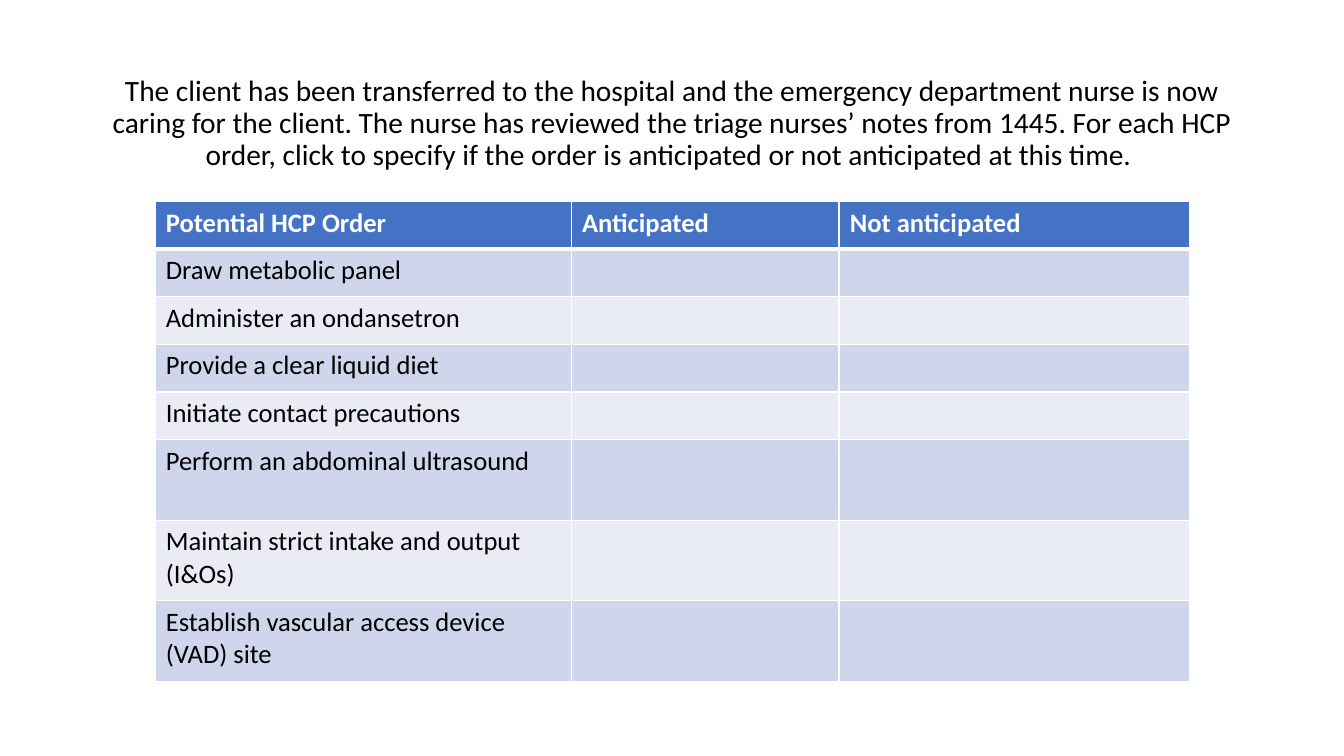
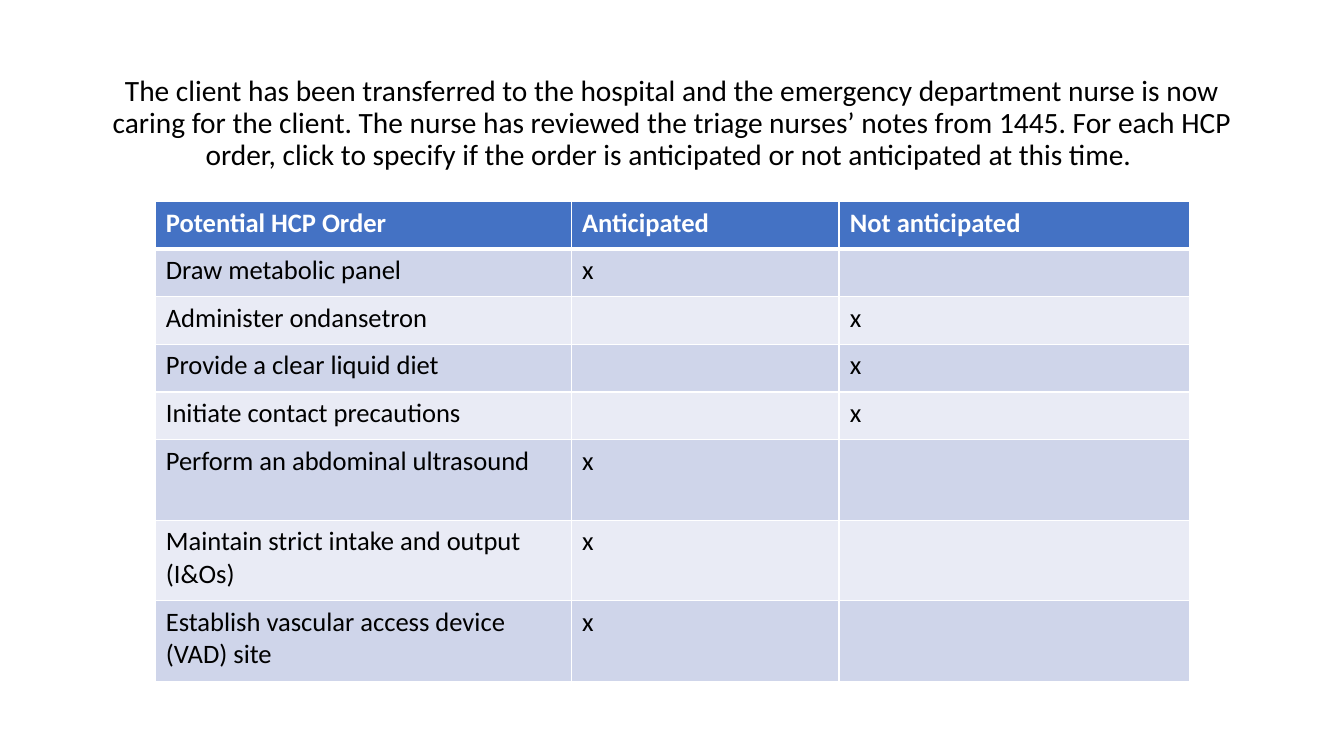
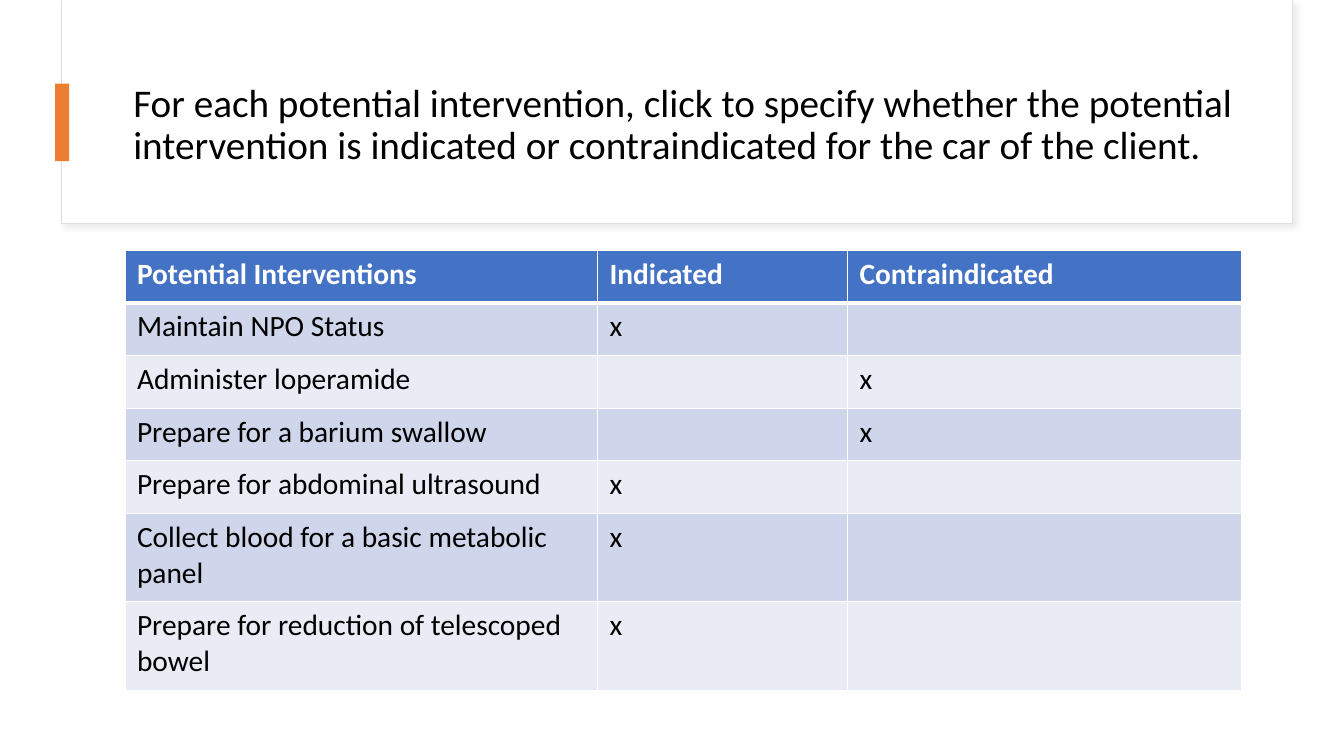
import dataclasses

import lxml.etree
import pptx
import pptx.dml.color
import pptx.enum.shapes
import pptx.enum.text
import pptx.oxml.ns
import pptx.util

Pt = pptx.util.Pt
Align = pptx.enum.text.PP_ALIGN
qn = pptx.oxml.ns.qn


@dataclasses.dataclass(frozen=True)
class Theme:
    font: str = "Calibri"
    ink: str = "000000"
    white: str = "FFFFFF"
    head: str = "4472C4"
    bands: tuple = ("CFD5EA", "E9EBF5")
    accent: str = "ED7D31"
    edge: str = "DEDEDE"
    shade: str = "D9D9D9"
    prompt: int = 21
    lead: int = 28
    small: int = 19
    large: int = 21


def color(code):
    return pptx.dml.color.RGBColor.from_string(code)


def write(frame, words, *, font, size, ink, bold=False, align=Align.LEFT, space=1.0):
    para = frame.paragraphs[0]
    para.alignment = align
    para.line_spacing = space
    run = para.add_run()
    run.text = words
    run.font.name = font
    run.font.size = Pt(size)
    run.font.bold = bold
    run.font.color.rgb = color(ink)


def node(parent, tag, **attrs):
    """Append a DrawingML element, with its attributes as text."""
    return lxml.etree.SubElement(
        parent, qn(tag), {key: str(val) for key, val in attrs.items()})


def border(cell, sides, ink):
    """Draw cell borders; sides maps L, R, T and B, in that order, to widths."""
    props = cell._tc.get_or_add_tcPr()
    for side, width in sides.items():
        line = node(props, f"a:ln{side}", w=Pt(width))
        node(node(line, "a:solidFill"), "a:srgbClr", val=ink)


class Deck:
    def __init__(self, theme):
        self.theme = theme
        self.show = pptx.Presentation()
        self.show.slide_width, self.show.slide_height = Pt(960), Pt(540)
        self.slide = None

    def page(self):
        self.slide = self.show.slides.add_slide(self.show.slide_layouts[5])

    def title(self, words, box, size, align):
        """Place the title in front of everything drawn so far."""
        shape = self.slide.shapes.title
        shape.left, shape.top, shape.width, shape.height = map(Pt, box)
        shape.element.getparent().append(shape.element)
        frame = shape.text_frame
        frame.word_wrap = True
        frame.auto_size = pptx.enum.text.MSO_AUTO_SIZE.NONE
        frame.vertical_anchor = pptx.enum.text.MSO_ANCHOR.MIDDLE
        write(frame, words, font=self.theme.font, size=size,
              ink=self.theme.ink, align=align, space=0.9)

    def rect(self, box, fill, edge=None, shade=None):
        kind = pptx.enum.shapes.MSO_SHAPE.RECTANGLE
        shape = self.slide.shapes.add_shape(kind, *map(Pt, box))
        shape.fill.solid()
        shape.fill.fore_color.rgb = color(fill)
        if edge:
            shape.line.color.rgb = color(edge)
            shape.line.width = Pt(0.75)
        else:
            shape.line.fill.background()
        shape.shadow.inherit = False
        if shade:
            glow = node(shape.element.spPr.find(qn("a:effectLst")), "a:outerShdw",
                        blurRad=Pt(4), dist=Pt(3), dir=45 * 60000)
            node(node(glow, "a:srgbClr", val=shade), "a:alpha", val=50000)

    def table(self, spot, heads, rows, widths, heights, size, inset):
        """Draw rows of (label, column of the x); column 0 means no x."""
        theme = self.theme
        grid = [heads] + [
            [label] + ["x" if col == mark else "" for col in range(1, len(heads))]
            for label, mark in rows]
        frame = self.slide.shapes.add_table(
            len(grid), len(heads), *map(Pt, (*spot, sum(widths), sum(heights))))
        table = frame.table
        table.horz_banding = False
        for col, width in zip(table.columns, widths):
            col.width = Pt(width)
        for row, height in zip(table.rows, heights):
            row.height = Pt(height)
        for i, line in enumerate(grid):
            for j, words in enumerate(line):
                cell = table.cell(i, j)
                cell.margin_left = cell.margin_right = Pt(2 * inset)
                cell.margin_top = cell.margin_bottom = Pt(inset)
                border(cell, {"L": 1, "R": 1, "T": 3 if i == 1 else 1,
                              "B": 3 if i == 0 else 1}, theme.white)
                cell.fill.solid()
                cell.fill.fore_color.rgb = color(
                    theme.bands[(i - 1) % 2] if i else theme.head)
                if words:
                    write(cell.text_frame, words, font=theme.font, size=size,
                          ink=theme.ink if i else theme.white, bold=i == 0)


PROMPT = ("The client has been transferred to the hospital and the emergency "
          "department nurse is now caring for the client. The nurse has reviewed "
          "the triage nurses’ notes from 1445. For each HCP order, click to specify "
          "if the order is anticipated or not anticipated at this time. ")
LEAD = ("For each potential intervention, click to specify whether the potential "
        "intervention is indicated or contraindicated for the car of the client.")


def orders(deck, drug, solved):
    """Add the order slide, with the answers marked if solved."""
    rows = [
        ("Draw metabolic panel", 1),
        (drug, 2),
        ("Provide a clear liquid diet", 2),
        ("Initiate contact precautions", 2),
        ("Perform an abdominal ultrasound", 1),
        ("Maintain strict intake and output (I&Os)", 1),
        ("Establish vascular access device (VAD) site", 1),
    ]
    deck.page()
    deck.title(PROMPT, (66, 44, 828, 89.3), deck.theme.prompt, Align.CENTER)
    deck.table((110.7, 144), ["Potential HCP Order", "Anticipated", "Not anticipated"],
               [(label, mark if solved else 0) for label, mark in rows],
               (297.3, 191.3, 250.5), [34] * 5 + [57.6] * 3, deck.theme.small, 3.9)


def care(deck):
    """Add the intervention slide."""
    theme = deck.theme
    rows = [
        ("Maintain NPO Status", 1),
        ("Administer loperamide", 2),
        ("Prepare for a barium swallow", 2),
        ("Prepare for abdominal ultrasound", 1),
        ("Collect blood for a basic metabolic panel", 1),
        ("Prepare for reduction of telescoped bowel", 1),
    ]
    deck.page()
    deck.rect((44, 0.5, 879, 159), theme.white, theme.edge, theme.shade)
    deck.rect((44.6, 0, 878.4, 158.4), theme.white)
    deck.title(LEAD, (88, 43.2, 800.6, 92.9), theme.lead, Align.LEFT)
    deck.rect((39.4, 59.8, 10.1, 55.4), theme.accent)
    deck.table((89.5, 178.8), ["Potential Interventions", "Indicated", "Contraindicated"],
               rows, (337.5, 178.6, 281.5), [37.6] * 5 + [63.2] * 2, theme.large, 4.2)


def main():
    deck = Deck(Theme())
    orders(deck, "Administer an ondansetron", False)
    orders(deck, "Administer ondansetron", True)
    care(deck)
    deck.show.save("out.pptx")


if __name__ == "__main__":
    main()
